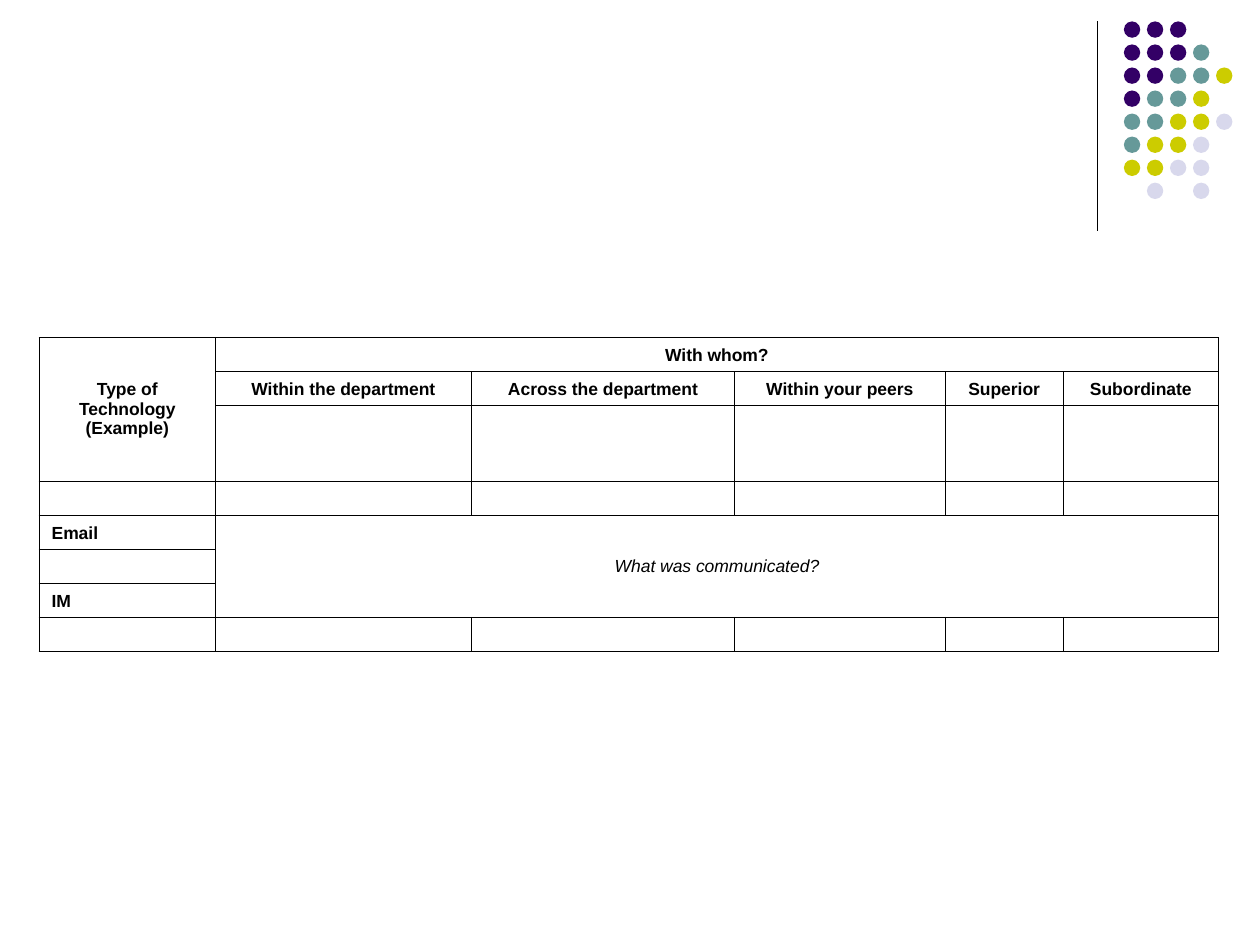
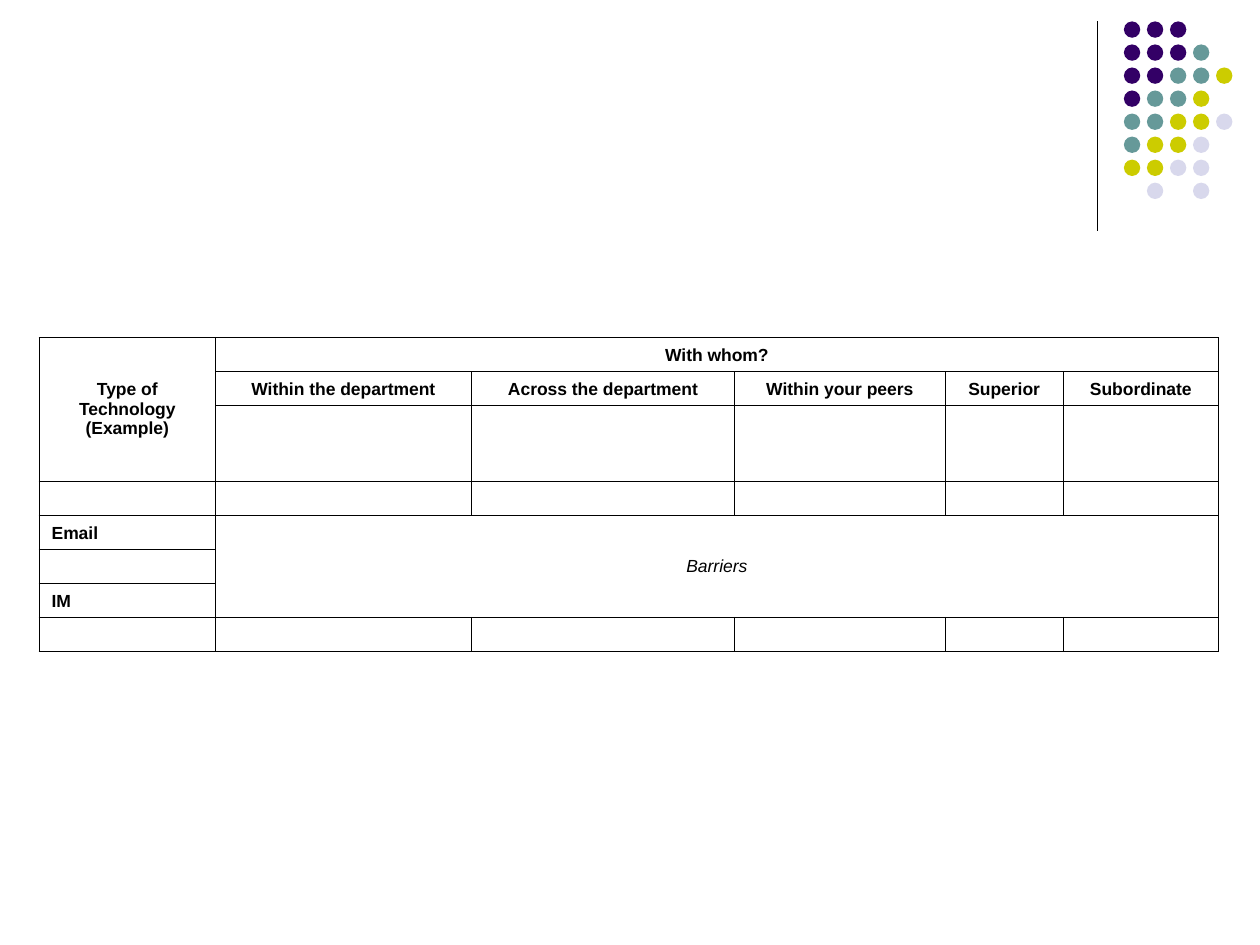
"""Two survey tables on a shared layout with a dotted corner ornament."""
from dataclasses import dataclass

from lxml import etree
from pptx import Presentation
from pptx.dml.color import RGBColor
from pptx.enum.shapes import MSO_CONNECTOR, MSO_SHAPE
from pptx.enum.text import MSO_ANCHOR, PP_ALIGN
from pptx.oxml.ns import qn
from pptx.util import Inches, Pt

ELLIPSE = MSO_SHAPE.OVAL
STRAIGHT = MSO_CONNECTOR.STRAIGHT
MIDDLE, BOTTOM = MSO_ANCHOR.MIDDLE, MSO_ANCHOR.BOTTOM
LEFT, CENTER = PP_ALIGN.LEFT, PP_ALIGN.CENTER

COLORS = {"ink": "000000", "P": "330066", "T": "669999",
          "Y": "CCCC00", "L": "D8D8EC"}
FONT, TEXT_SIZE, BORDER = "Arial", 10, 0.45
SLIDE_W, SLIDE_H = 10, 7.5

# One letter per dot, naming its colour; a blank leaves a gap
DOTS = ("PPP", "PPPT", "PPTTY", "PTTY", "TTYYL", "TYYL", "YYLL", " L L")
DOT_X, DOT_Y, DOT_SIZE, DOT_PITCH = 8.92, 0.17, 0.13, 1.28 / 7
RULE_X, RULE_BOTTOM = 8.71, 1.83

TABLE_X, TABLE_Y = 0.31, 2.68
COL_WIDTHS = (1.4, 2.03, 2.09, 1.67, 0.94, 1.23)
ROW = 0.27
ROW_HEIGHTS = (ROW, ROW, 0.6) + (ROW,) * 5
AUDIENCES = ("Within the department", "Across the department",
             "Within your peers", "Superior", "Subordinate")
QUESTIONS = ("What was communicated?", "Barriers")


@dataclass
class Entry:
    """A filled table cell, placed by row and column, with its span."""
    row: int
    col: int
    text: str
    rows: int = 1
    cols: int = 1
    align: int = CENTER
    anchor: int = BOTTOM
    italic: bool = False


def rgb(name: str) -> RGBColor:
    """Return a palette colour."""
    return RGBColor.from_string(COLORS[name])


def add_rule(s):
    """Draw the vertical rule beside the dots."""
    rule = s.shapes.add_connector(STRAIGHT, Inches(RULE_X), Inches(DOT_Y),
                                  Inches(RULE_X), Inches(RULE_BOTTOM))
    rule.line.color.rgb = rgb("ink")
    rule.line.width = Pt(0.74)
    etree.SubElement(rule._element.spPr, qn("a:effectLst"))
    return rule


def add_dots(s):
    """Draw the grouped grid of coloured dots."""
    group = s.shapes.add_group_shape()
    for row, letters in enumerate(DOTS):
        for col, letter in enumerate(letters):
            if letter == " ":
                continue
            sp = group.shapes.add_shape(
                ELLIPSE, Inches(DOT_X + col * DOT_PITCH),
                Inches(DOT_Y + row * DOT_PITCH),
                Inches(DOT_SIZE), Inches(DOT_SIZE))
            sp.shadow.inherit = False
            sp.fill.solid()
            sp.fill.fore_color.rgb = rgb(letter)
            sp.line.fill.background()
    return group


def decorate_layout(layout, s) -> None:
    """Clear the layout and move the ornament, drawn on a slide, into it."""
    for ph in list(layout.placeholders):
        ph._element.getparent().remove(ph._element)
    for sp in (add_rule(s), add_dots(s)):
        layout.shapes._spTree.append(sp._element)


def style_cell(cell) -> None:
    """Give a cell thin borders, no fill and the table's text style."""
    cell.fill.background()
    tc_pr = cell._tc.get_or_add_tcPr()
    for i, side in enumerate(("lnL", "lnR", "lnT", "lnB")):
        ln = etree.Element(qn(f"a:{side}"), w=str(Pt(BORDER)))
        fill = etree.SubElement(ln, qn("a:solidFill"))
        etree.SubElement(fill, qn("a:srgbClr"), val=COLORS["ink"])
        tc_pr.insert(i, ln)
    p = cell.text_frame.paragraphs[0]
    p.font.name, p.font.size, p.font.bold = FONT, Pt(TEXT_SIZE), True
    p.font.color.rgb = rgb("ink")
    # Keeps empty rows from growing to the default text size
    etree.SubElement(p._p, qn("a:endParaRPr"), sz=str(TEXT_SIZE * 100))


def fill_cell(table, entry: Entry) -> None:
    """Merge the cells of an entry and write its text."""
    cell = table.cell(entry.row, entry.col)
    if entry.rows > 1 or entry.cols > 1:
        cell.merge(table.cell(entry.row + entry.rows - 1,
                              entry.col + entry.cols - 1))
    cell.vertical_anchor = entry.anchor
    p = cell.text_frame.paragraphs[0]
    p.alignment = entry.align
    p.add_run().text = entry.text
    if entry.italic:
        p.font.bold, p.font.italic = False, True


def add_survey(s, question: str) -> None:
    """Add the technology table with one question across its centre."""
    table = s.shapes.add_table(
        len(ROW_HEIGHTS), len(COL_WIDTHS), Inches(TABLE_X), Inches(TABLE_Y),
        Inches(sum(COL_WIDTHS)), Inches(sum(ROW_HEIGHTS))).table
    table.first_row = table.horz_banding = False
    for column, width in zip(table.columns, COL_WIDTHS):
        column.width = Inches(width)
    for row, height in zip(table.rows, ROW_HEIGHTS):
        row.height = Inches(height)
    for cell in table.iter_cells():
        style_cell(cell)
    entries = [
        Entry(0, 0, "Type of Technology (Example)", rows=3, anchor=MIDDLE),
        Entry(0, 1, "With whom?", cols=len(AUDIENCES)),
        *(Entry(1, col, name) for col, name in enumerate(AUDIENCES, 1)),
        Entry(4, 0, "Email", align=LEFT),
        Entry(4, 1, question, rows=3, cols=len(AUDIENCES),
              anchor=MIDDLE, italic=True),
        Entry(6, 0, "IM", align=LEFT),
    ]
    for entry in entries:
        fill_cell(table, entry)


def main() -> None:
    """Build and save the deck."""
    prs = Presentation()
    prs.slide_width, prs.slide_height = Inches(SLIDE_W), Inches(SLIDE_H)
    layout = prs.slide_layouts[6]
    slides = [prs.slides.add_slide(layout) for _ in QUESTIONS]
    decorate_layout(layout, slides[0])
    for s, question in zip(slides, QUESTIONS):
        add_survey(s, question)
    prs.save("out.pptx")


main()
